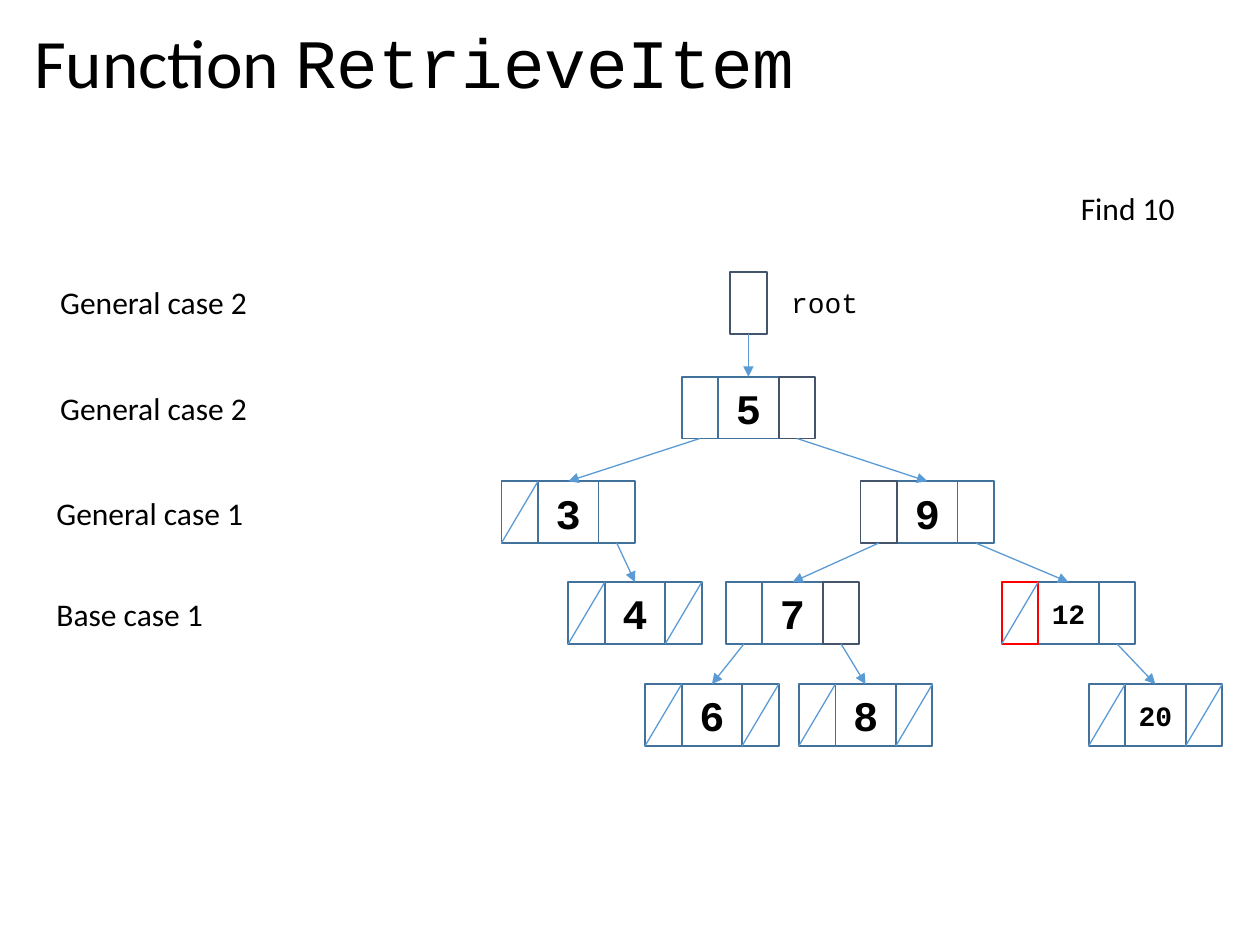
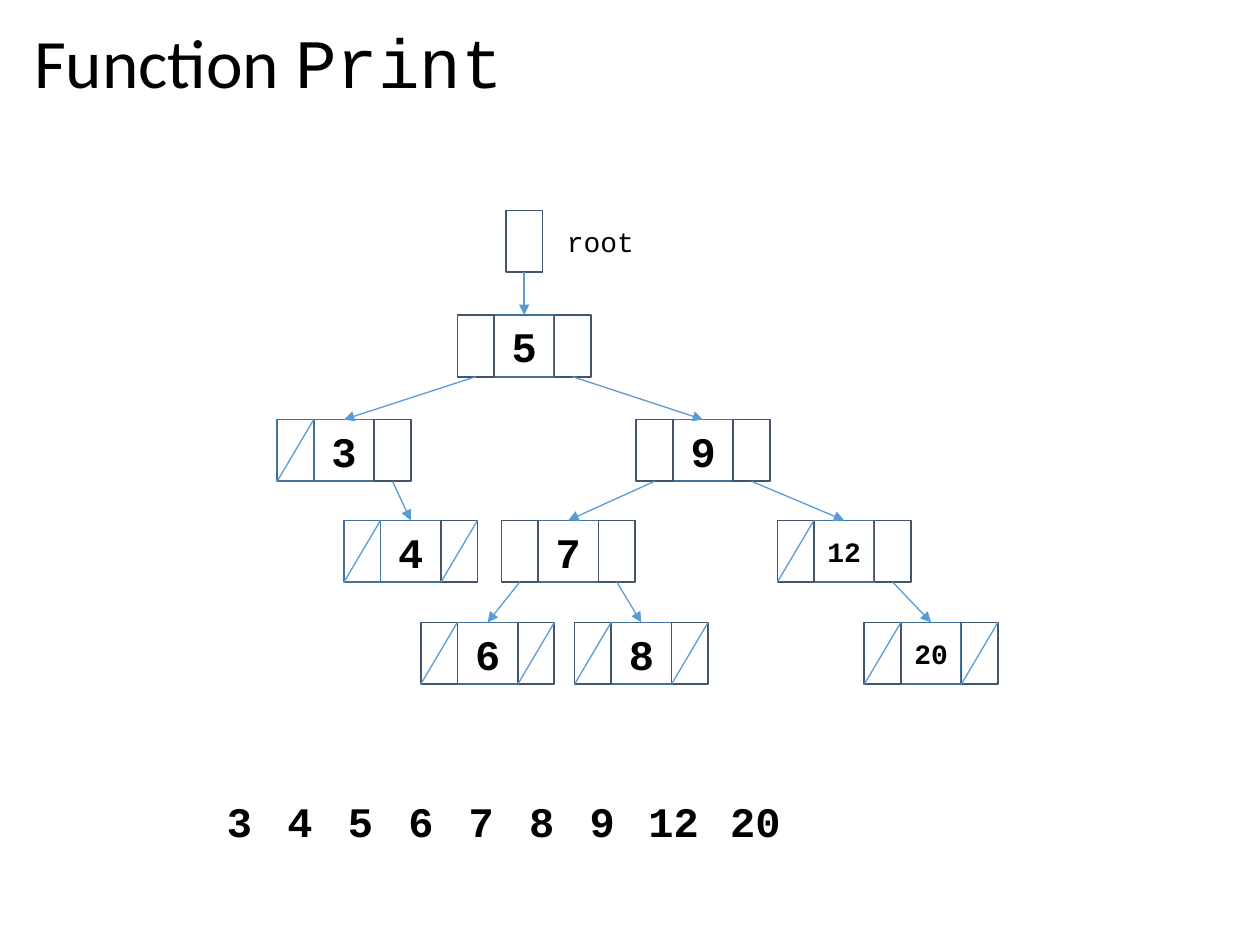
"""Builds two slides that show a binary search tree and its functions."""
import pptx
import pptx.dml.color
import pptx.enum.shapes
import pptx.enum.text
import pptx.oxml
import pptx.oxml.ns
import pptx.util

Inches = pptx.util.Inches
Pt = pptx.util.Pt
ALIGN = pptx.enum.text.PP_ALIGN
ANCHOR = pptx.enum.text.MSO_ANCHOR

COLORS = {"text": "000000", "blue": "42719B", "slate": "44546A",
          "link": "5B9BD5", "red": "FF0000"}
SANS, MONO = "Calibri", "Courier New"
KEY_W, SIDE_W, CELL_H = 0.48, 0.29, 0.49
LEVELS = (0, 0.83, 1.63, 2.44)

# key: (offset from the root key, level, left child, right child)
TREE = {
    5: (0, 0, 3, 9),
    3: (-1.43, 1, None, 4),
    9: (1.42, 1, 7, 12),
    7: (0.35, 2, 6, 8),
    12: (2.54, 2, None, 20),
    4: (-0.9, 2, None, None),
    6: (-0.29, 3, None, None),
    8: (0.93, 3, None, None),
    20: (3.23, 3, None, None),
}


class Deck:
    """Holds the shared style and the current slide."""

    def __init__(self):
        """Start an empty presentation."""
        self.prs = pptx.Presentation()
        self.prs.slide_width = Inches(10)
        self.prs.slide_height = Inches(7.5)
        self.s = None

    def color(self, name):
        """Return a named colour."""
        return pptx.dml.color.RGBColor.from_string(COLORS[name])

    def run(self, p, text, size, font, bold=False):
        """Add one formatted run to a paragraph."""
        r = p.add_run()
        r.text = text
        r.font.size = Pt(size)
        r.font.name = font
        r.font.bold = bold
        r.font.color.rgb = self.color("text")

    def slide(self, function):
        """Add a slide titled with a function name."""
        self.s = self.prs.slides.add_slide(self.prs.slide_layouts[5])
        sp = self.s.shapes.title
        sp.left, sp.top = Inches(0.17), Inches(0.18)
        sp.width, sp.height = Inches(9.62), Inches(0.74)
        tf = sp.text_frame
        tf.auto_size = pptx.enum.text.MSO_AUTO_SIZE.NONE
        tf.vertical_anchor = ANCHOR.TOP
        p = tf.paragraphs[0]
        p.alignment = ALIGN.LEFT
        p.line_spacing = 0.9
        self.run(p, "Function ", 39.6, SANS)
        self.run(p, function, 39.6, MONO)

    def label(self, x, y, w, text, size=18, font=SANS):
        """Add a left-aligned text box."""
        sp = self.s.shapes.add_textbox(Inches(x), Inches(y), Inches(w), Inches(0.4))
        sp.text_frame.word_wrap = True
        self.run(sp.text_frame.paragraphs[0], text, size, font)

    def number(self, sp, value, size=24):
        """Write a bold number in the middle of a shape."""
        tf = sp.text_frame
        tf.word_wrap = False
        tf.vertical_anchor = ANCHOR.MIDDLE
        p = tf.paragraphs[0]
        p.alignment = ALIGN.CENTER
        self.run(p, str(value), size, MONO, True)

    def cell(self, x, y, w, line):
        """Add an outlined cell."""
        sp = self.s.shapes.add_shape(pptx.enum.shapes.MSO_SHAPE.RECTANGLE,
                                     Inches(x), Inches(y), Inches(w), Inches(CELL_H))
        sp.shadow.inherit = False
        sp.fill.background()
        sp.line.color.rgb = self.color(line)
        sp.line.width = Pt(1)
        return sp

    def line(self, x1=0, y1=0, x2=0, y2=0):
        """Add a thin straight line."""
        ln = self.s.shapes.add_connector(pptx.enum.shapes.MSO_CONNECTOR.STRAIGHT,
                                         Inches(x1), Inches(y1), Inches(x2), Inches(y2))
        ln.line.color.rgb = self.color("link")
        ln.line.width = Pt(0.75)
        ln._element.spPr.append(pptx.oxml.parse_xml(
            "<a:effectLst %s/>" % pptx.oxml.ns.nsdecls("a")))
        return ln

    def arrow(self, start, end):
        """Point from the bottom of one cell to the top of another."""
        ln = self.line()
        ln.begin_connect(start, 2)
        ln.end_connect(end, 0)
        ln.line._get_or_add_ln().append(pptx.oxml.parse_xml(
            '<a:tailEnd type="triangle" %s/>' % pptx.oxml.ns.nsdecls("a")))

    def tree(self, x0, y0, side_line, marked):
        """Draw the tree with its root key at x0, y0."""
        keys, pointers = {}, []
        for key, (dx, level, left, right) in TREE.items():
            x, y = x0 + dx, y0 + LEVELS[level]
            keys[key] = self.cell(x, y, KEY_W, "blue")
            self.number(keys[key], key, 24 if key < 10 else 16)
            for side, child, cx in (("right", right, x + KEY_W),
                                    ("left", left, x - SIDE_W)):
                sp = self.cell(cx, y, SIDE_W, marked.get((key, side), side_line))
                if child is None:
                    self.line(cx + SIDE_W, y, cx, y + CELL_H)
                else:
                    pointers.append((sp, child))
        root = self.cell(x0 + (KEY_W - SIDE_W) / 2, y0 - 0.83, SIDE_W, "slate")
        pointers.append((root, 5))
        for sp, child in pointers:
            self.arrow(sp, keys[child])
        self.label(x0 + KEY_W, y0 - 0.77, 2.12, "root", 16, MONO)

    def output_row(self, x, y, values):
        """Write the printed values in a row."""
        for value in values:
            w = KEY_W if value < 10 else 0.65
            sp = self.s.shapes.add_textbox(Inches(x), Inches(y), Inches(w), Inches(CELL_H))
            self.number(sp, value)
            x += w


def main():
    """Build and save both slides."""
    deck = Deck()

    deck.slide("RetrieveItem")
    deck.tree(5.7, 2.99, "blue", {(5, "right"): "slate", (9, "left"): "slate",
                                  (7, "right"): "slate", (12, "left"): "red"})
    deck.label(8.48, 1.45, 1.23, "Find 10")
    for x, y, case in ((0.38, 2.2, "General case 2"), (0.38, 3.04, "General case 2"),
                       (0.35, 3.87, "General case 1"), (0.35, 4.67, "Base case 1")):
        deck.label(x, y, 2.14, case)

    deck.slide("Print")
    deck.tree(3.92, 2.5, "slate", {(3, "left"): "blue", (4, "left"): "blue"})
    deck.output_row(1.66, 6.27, sorted(TREE))

    deck.prs.save("out.pptx")


if __name__ == "__main__":
    main()
